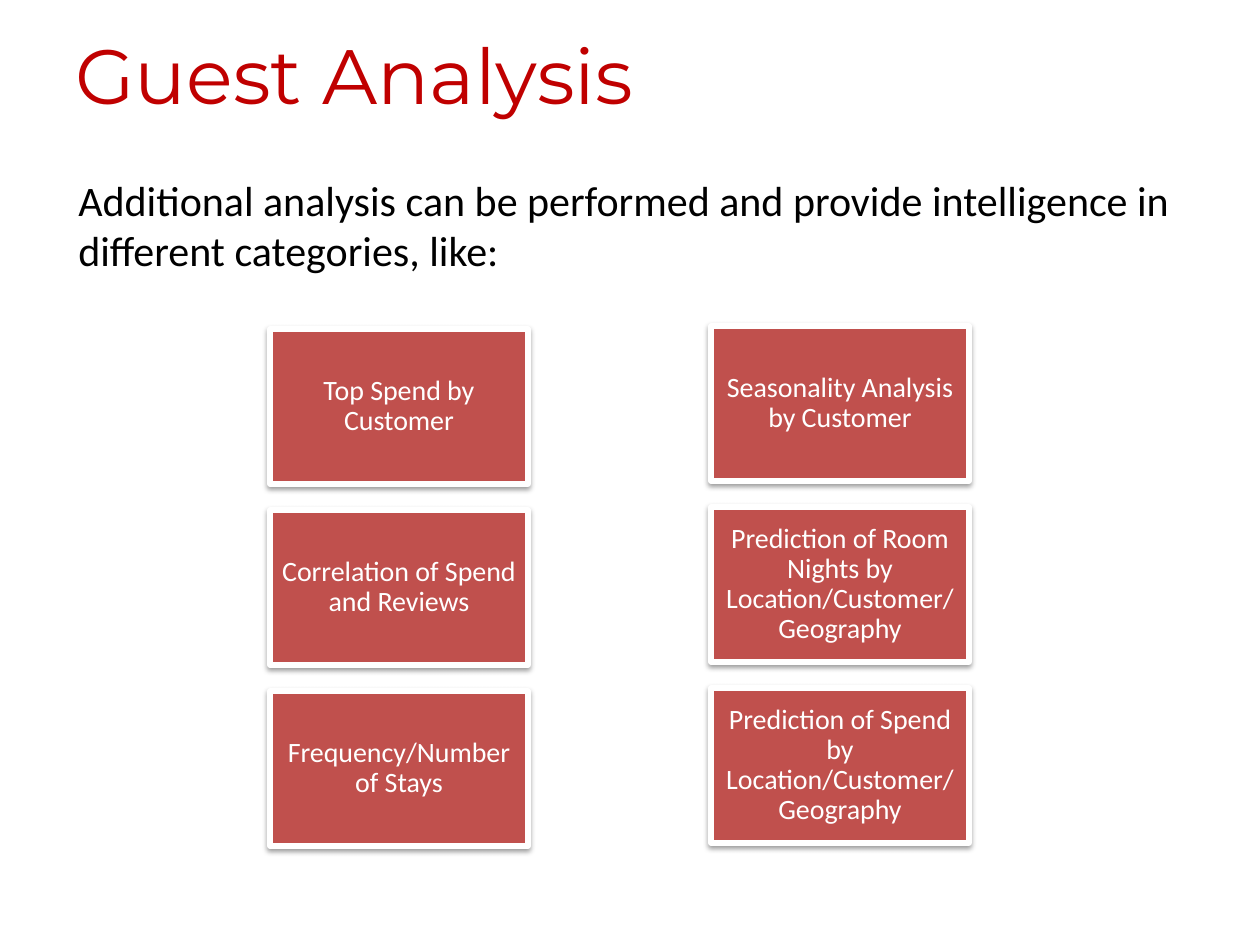
from lxml.etree import SubElement
from pptx import Presentation
from pptx.dml.color import RGBColor
from pptx.enum.shapes import MSO_SHAPE as Shape
from pptx.enum.text import MSO_ANCHOR as Anchor, PP_ALIGN as Align
from pptx.oxml.ns import qn
from pptx.util import Emu, Pt

# Content
TITLE = "Guest Analysis"
INTRO = ("Additional analysis can be performed and provide intelligence in "
         "different categories, like:")
COLUMNS = [  # left, top, categories
    (270, 329, ["Top Spend by Customer",
                "Correlation of Spend and Reviews",
                "Frequency/Number of Stays"]),
    (711, 326, ["Seasonality Analysis by Customer",
                "Prediction of Room Nights by Location/Customer/Geography",
                "Prediction of Spend by Location/Customer/Geography"]),
]

# Layout, in px at 126 to the inch
CARD_W, CARD_H, CARD_PITCH, CARD_INSET = 258, 155, 181, 9
RED, CARD_RED, BLACK, WHITE = "C00000", "C0504D", "000000", "FFFFFF"


def px(length):
    return Emu(round(length * 914400 / 126))


def rgb(color):
    return RGBColor.from_string(color)


def write(shape, text, size, font, color, anchor, align=Align.LEFT):
    frame = shape.text_frame
    frame.word_wrap = True
    frame.vertical_anchor = anchor
    paragraph = frame.paragraphs[0]
    paragraph.text = text
    paragraph.alignment = align
    paragraph.font.size = Pt(size)
    paragraph.font.name = font
    paragraph.font.color.rgb = rgb(color)
    return frame


def add_text(slide, box, *style):
    write(slide.shapes.add_textbox(*map(px, box)), *style)


def add_soft_shadow(shape):
    shape.shadow.inherit = False
    effects = shape.element.spPr.find(qn("a:effectLst"))
    shadow = SubElement(effects, qn("a:outerShdw"), blurRad=str(Pt(3.1)),
                        dist=str(Pt(1.6)), dir="5400000", rotWithShape="0")
    black = SubElement(shadow, qn("a:srgbClr"), val=BLACK)
    SubElement(black, qn("a:alpha"), val="38000")


def add_card(slide, left, top, category):
    card = slide.shapes.add_shape(
        Shape.RECTANGLE, px(left), px(top), px(CARD_W), px(CARD_H))
    card.fill.solid()
    card.fill.fore_color.rgb = rgb(CARD_RED)
    card.line.color.rgb = rgb(WHITE)
    card.line.width = Pt(3)
    add_soft_shadow(card)
    frame = write(card, category, 16, "Calibri", WHITE, Anchor.MIDDLE, Align.CENTER)
    frame.margin_left = frame.margin_right = px(CARD_INSET)
    frame.margin_top = frame.margin_bottom = px(CARD_INSET)
    frame.paragraphs[0].line_spacing = 0.9


def main():
    deck = Presentation()
    deck.slide_width, deck.slide_height = px(1260), px(945)
    slide = deck.slides.add_slide(deck.slide_layouts[6])

    # Heading and introduction
    add_text(slide, (63, 21, 1134, 105), TITLE, 44, "Montserrat", RED, Anchor.MIDDLE)
    add_text(slide, (66, 168, 1134, 158), INTRO, 24, "Calibri", BLACK, Anchor.TOP)

    # Two columns of category cards
    for left, top, categories in COLUMNS:
        for row, category in enumerate(categories):
            add_card(slide, left, top + row * CARD_PITCH, category)

    deck.save("out.pptx")


if __name__ == "__main__":
    main()
